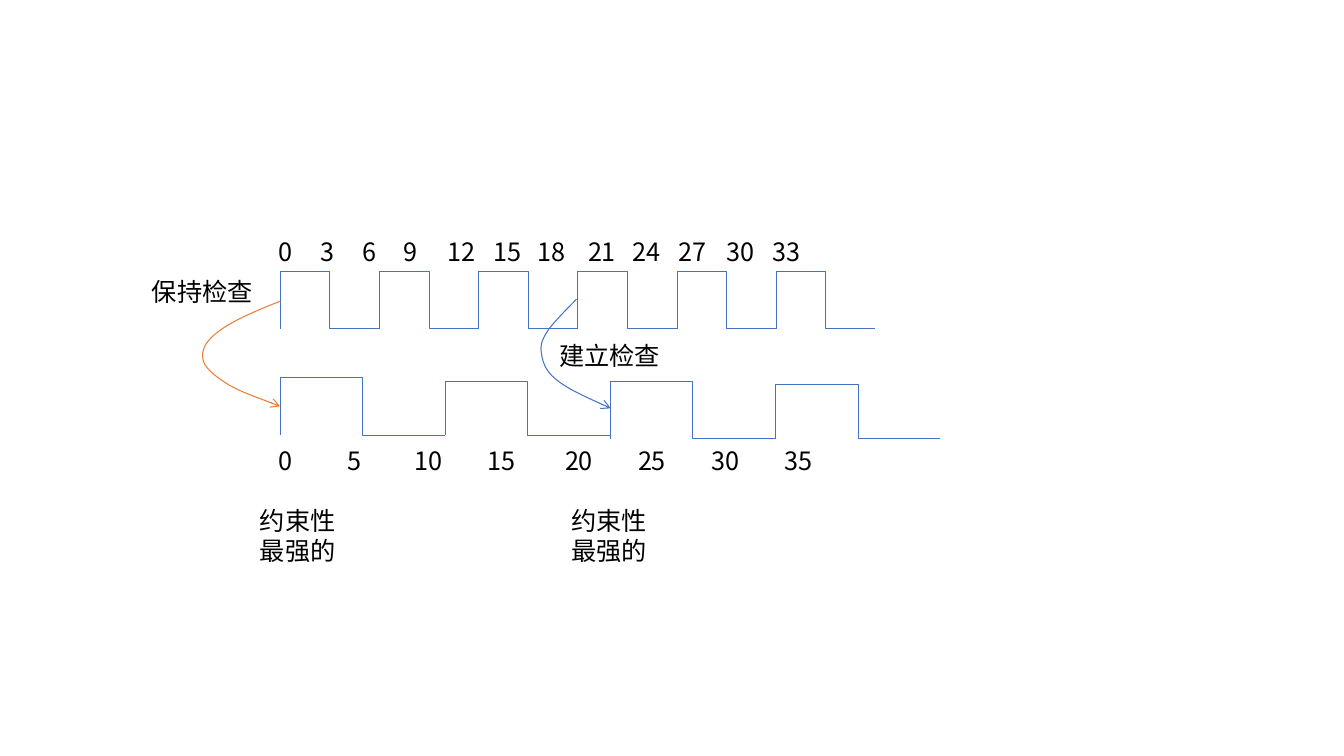
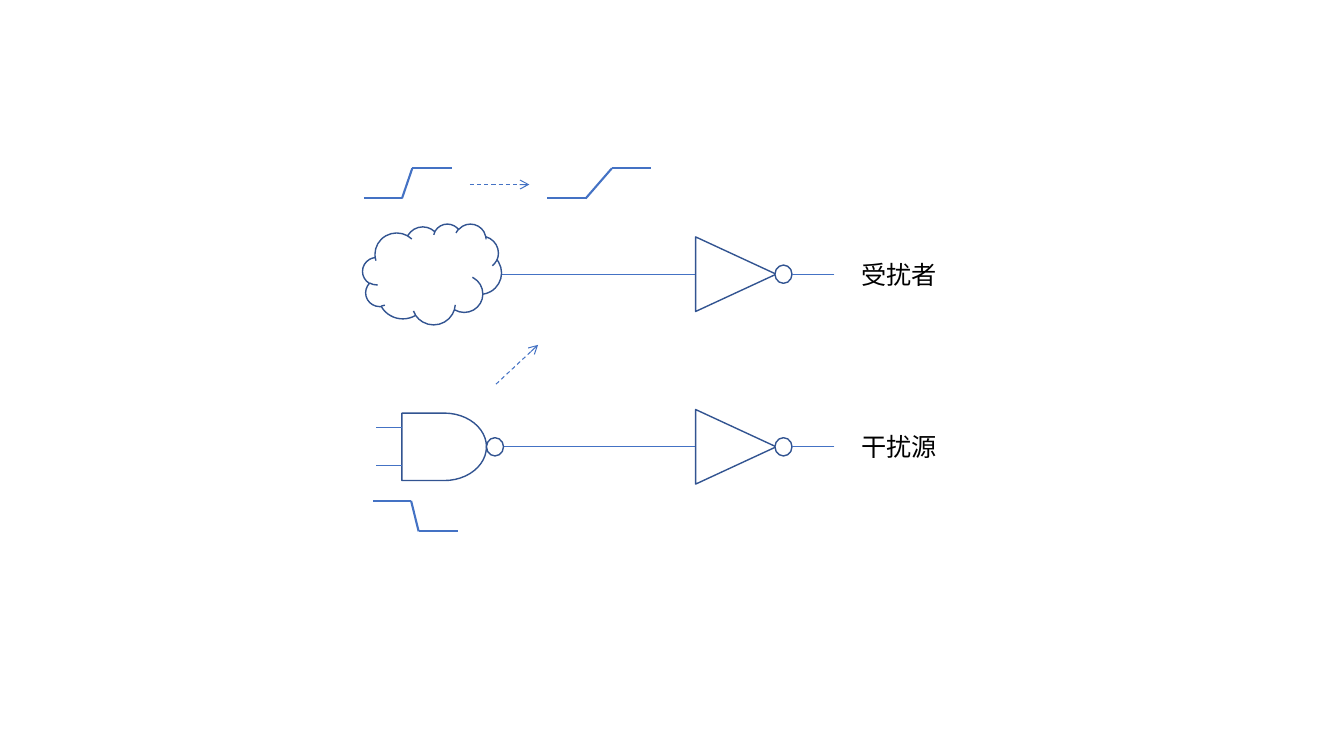
from itertools import pairwise

from lxml import etree
from pptx import Presentation
from pptx.dml.color import RGBColor
from pptx.enum.dml import MSO_LINE
from pptx.enum.shapes import MSO_CONNECTOR, MSO_SHAPE
from pptx.oxml.ns import qn
from pptx.util import Cm, Pt

STRAIGHT, ELBOW = MSO_CONNECTOR.STRAIGHT, MSO_CONNECTOR.ELBOW
TRIANGLE, ELLIPSE = MSO_SHAPE.ISOSCELES_TRIANGLE, MSO_SHAPE.OVAL
CLOUD, DELAY = MSO_SHAPE.CLOUD, MSO_SHAPE.FLOWCHART_DELAY
DASH = MSO_LINE.DASH
FONT = "Noto Sans CJK SC"
COLORS = {"blue": "4472C4", "outline": "325491", "orange": "ED7D31",
          "white": "FFFFFF", "black": "000000"}
THIN, ARROW, OUTLINE, THICK = 0.5, 0.75, 1, 1.5

# Clock diagram: all lengths in cm
CLOCK_LEFT = 7.06
FAST_PERIOD, SLOW_PERIOD = 2.5, 4.16
FAST_LEVELS = [(6.84, 8.28)] * 6
SLOW_LEVELS = [(9.52, 10.97), (9.6, 10.97), (9.6, 11.05), (9.68, 11.05)]
FAST_TIMES = ["0", "3", "6", "9", "12", "15", "18", "21", "24", "27", "30", "33"]
FAST_TABS = [1.06, 2.12, 3.17, 4.28, 5.42, 6.53, 7.81, 8.92, 10.08, 11.31, 12.45]
SLOW_TIMES = ["0", "5", "10", "15", "20", "25", "30", "35"]
SLOW_TABS = [1.76, 3.43, 5.27, 7.23, 9.07, 10.91, 12.75]
TIME_ROWS = [(FAST_TIMES, FAST_TABS, 5.82), (SLOW_TIMES, SLOW_TABS, 11.1)]
CLOCK_LABELS = [("保持检查", 3.58, 6.83, 3.07), ("建立检查", 13.84, 8.46, 3.07),
                ("约束性\n最强的", 6.3, 12.6, 2.44), ("约束性\n最强的", 14.15, 12.6, 2.44)]
# Start point, then two control points and an end point per curve
HOLD_CURVE = [(7.06, 7.59), (6.48, 7.82), (5.87, 8.08), (5.54, 8.33),
              (5.21, 8.56), (5.08, 8.79), (5.11, 9.02),
              (5.13, 9.25), (5.38, 9.45), (5.69, 9.65),
              (6.02, 9.86), (6.53, 10.03), (7.06, 10.24)]
SETUP_CURVE = [(14.53, 7.54), (14.27, 7.8), (14, 8.08), (13.84, 8.28),
               (13.69, 8.51), (13.61, 8.66), (13.64, 8.86),
               (13.67, 9.09), (13.72, 9.32), (14, 9.55),
               (14.3, 9.8), (14.83, 10.03), (15.39, 10.29)]

# Crosstalk diagram: label, centre height, start of the wire
NETS = [("受扰者", 6.91, 12.62), ("干扰源", 11.26, 12.7)]
INVERTER_LEFT, INVERTER_W, INVERTER_H = 17.53, 2.03, 1.88
BUBBLE_W, BUBBLE_H = 0.43, 0.46
OUTPUT_LEFT, OUTPUT_RIGHT = 19.53, 21.03
GATE_LEFT, GATE_TOP, GATE_W, GATE_H = 10.13, 10.41, 2.13, 1.7
GATE_INPUTS = [10.77, 11.73]
STEPS = [[(9.17, 5), (10.13, 5), (10.39, 4.24), (11.38, 4.24)],
         [(13.79, 5), (14.76, 5), (15.42, 4.24), (16.41, 4.24)],
         [(9.4, 12.62), (10.36, 12.62), (10.55, 13.39), (11.53, 13.39)]]
DASHED_ARROWS = [((11.84, 4.65), (13.34, 4.65)), ((12.5, 9.68), (13.56, 8.69))]


def rgb(name):
    """Return a named colour."""
    return RGBColor.from_string(COLORS[name])


def style_line(shape, color, width):
    """Set colour and width of a line."""
    shape.line.color.rgb = rgb(color)
    shape.line.width = Pt(width)


def add_arrowhead(shape):
    """Put an open arrowhead on the end of a line."""
    ln = shape.line._get_or_add_ln()
    etree.SubElement(ln, qn("a:tailEnd"), type="arrow")


def add_line(s, start, end, width=THIN, kind=STRAIGHT):
    """Draw a blue connector between two points."""
    c = s.shapes.add_connector(kind, *(Cm(v) for v in (*start, *end)))
    style_line(c, "blue", width)
    etree.SubElement(c._element.spPr, qn("a:effectLst"))
    return c


def add_symbol(s, kind, left, top, width, height):
    """Draw a white outlined shape."""
    sp = s.shapes.add_shape(kind, Cm(left), Cm(top), Cm(width), Cm(height))
    sp.shadow.inherit = False
    sp.fill.solid()
    sp.fill.fore_color.rgb = rgb("white")
    style_line(sp, "outline", OUTLINE)
    return sp


def add_text(s, text, left, top, width, wrap=False, tabs=()):
    """Write 18 pt text, with optional tab stops."""
    lines = text.split("\n")
    height = 0.25 + 0.77 * len(lines)
    tf = s.shapes.add_textbox(Cm(left), Cm(top), Cm(width), Cm(height)).text_frame
    tf.word_wrap = wrap
    tf.text = text
    for p in tf.paragraphs:
        p.font.name, p.font.size = FONT, Pt(18)
        p.font.color.rgb = rgb("black")
        etree.SubElement(p.font._element, qn("a:ea"), typeface=FONT)
        if tabs:
            stops = etree.Element(qn("a:tabLst"))
            for pos in tabs:
                etree.SubElement(stops, qn("a:tab"), pos=str(Cm(pos)), algn="l")
            p._p.get_or_add_pPr().insert(0, stops)


def add_curve(s, points, color):
    """Draw a smooth arrow through groups of Bezier points."""
    pts = [(Cm(x), Cm(y)) for x, y in points]
    builder = s.shapes.build_freeform(*pts[0])
    builder.add_line_segments(pts[1:], close=False)
    sp = builder.convert_to_shape()
    segments = list(sp._element.iter(qn("a:lnTo")))
    for i in range(0, len(segments), 3):
        bezier = etree.Element(qn("a:cubicBezTo"))
        segments[i].addprevious(bezier)
        for segment in segments[i:i + 3]:
            bezier.append(segment[0])
            segment.getparent().remove(segment)
    sp.shadow.inherit = False
    sp.fill.background()
    style_line(sp, color, ARROW)
    add_arrowhead(sp)


def add_clock(s, period, levels):
    """Draw one clock: a rising edge and a falling step per period."""
    for i, (high, low) in enumerate(levels):
        left = CLOCK_LEFT + i * period
        add_line(s, (left, high), (left, low))
        add_line(s, (left, high), (left + period, low), kind=ELBOW)


def add_bubble(s, left, middle):
    """Draw an inversion bubble."""
    add_symbol(s, ELLIPSE, left, middle - BUBBLE_H / 2, BUBBLE_W, BUBBLE_H)


def add_net(s, label, middle, wire_left):
    """Draw a wire into an inverter, its output and its label."""
    add_line(s, (INVERTER_LEFT, middle), (wire_left, middle))
    center = INVERTER_LEFT + INVERTER_W / 2
    triangle = add_symbol(s, TRIANGLE, center - INVERTER_H / 2,
                          middle - INVERTER_W / 2, INVERTER_H, INVERTER_W)
    triangle.rotation = 90
    add_bubble(s, OUTPUT_LEFT, middle)
    add_line(s, (OUTPUT_RIGHT, middle), (OUTPUT_LEFT + BUBBLE_W, middle))
    add_text(s, label, 21.46, middle - 0.51, 2.44)


def build_clocks(s):
    """Build the slide of setup and hold checks."""
    add_clock(s, FAST_PERIOD, FAST_LEVELS)
    add_clock(s, SLOW_PERIOD, SLOW_LEVELS)
    for times, tabs, top in TIME_ROWS:
        add_text(s, "\t".join(times), 6.76, top, 15.6, wrap=True, tabs=tabs)
    add_curve(s, HOLD_CURVE, "orange")
    add_curve(s, SETUP_CURVE, "blue")
    for label in CLOCK_LABELS:
        add_text(s, *label)


def build_crosstalk(s):
    """Build the slide of victim and aggressor nets."""
    for net in NETS:
        add_net(s, *net)
    add_symbol(s, CLOUD, 9.14, 5.64, 3.5, 2.54)
    add_symbol(s, DELAY, GATE_LEFT, GATE_TOP, GATE_W, GATE_H)
    add_bubble(s, GATE_LEFT + GATE_W, GATE_TOP + GATE_H / 2)
    for y in GATE_INPUTS:
        add_line(s, (GATE_LEFT, y), (9.47, y))
    for step in STEPS:
        for start, end in pairwise(step):
            add_line(s, start, end, THICK)
    for start, end in DASHED_ARROWS:
        c = add_line(s, start, end, ARROW)
        c.line.dash_style = DASH
        add_arrowhead(c)


prs = Presentation()
prs.slide_width, prs.slide_height = Cm(33.87), Cm(19.05)
for build in (build_clocks, build_crosstalk):
    build(prs.slides.add_slide(prs.slide_layouts[6]))
prs.save("out.pptx")
